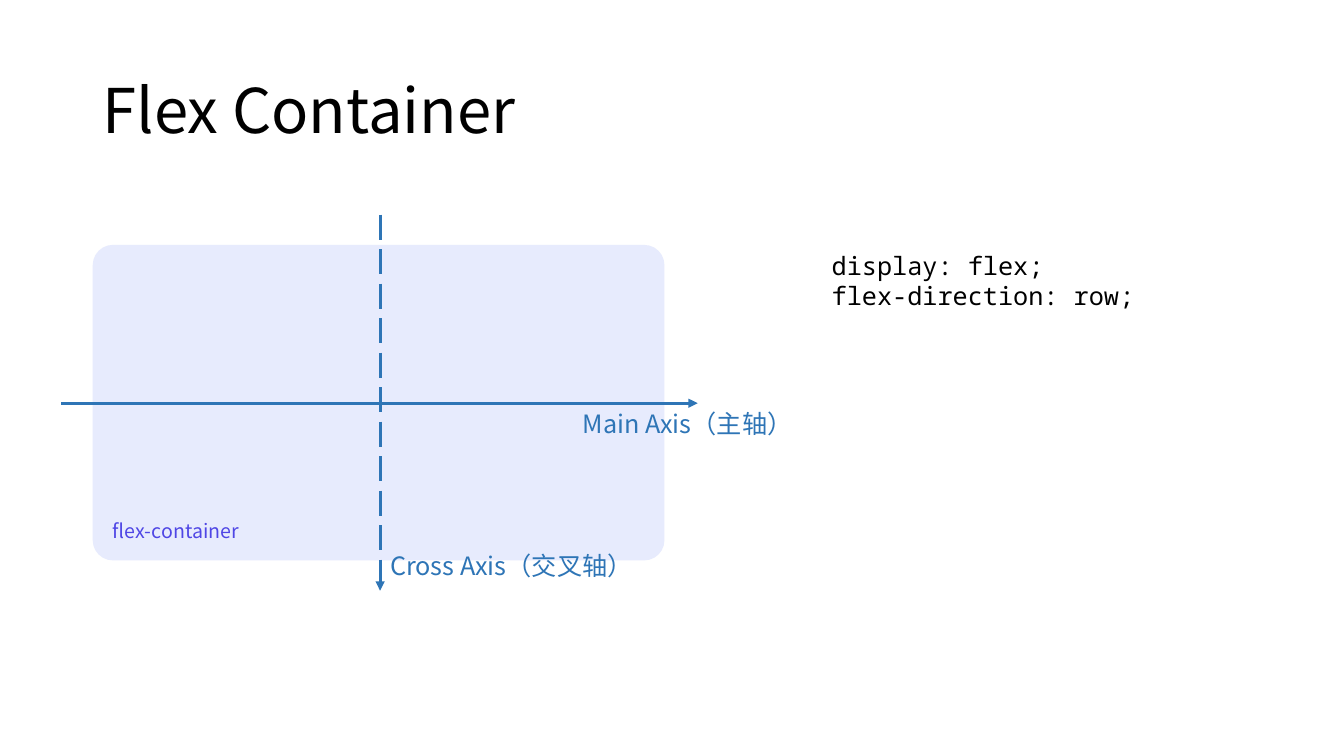
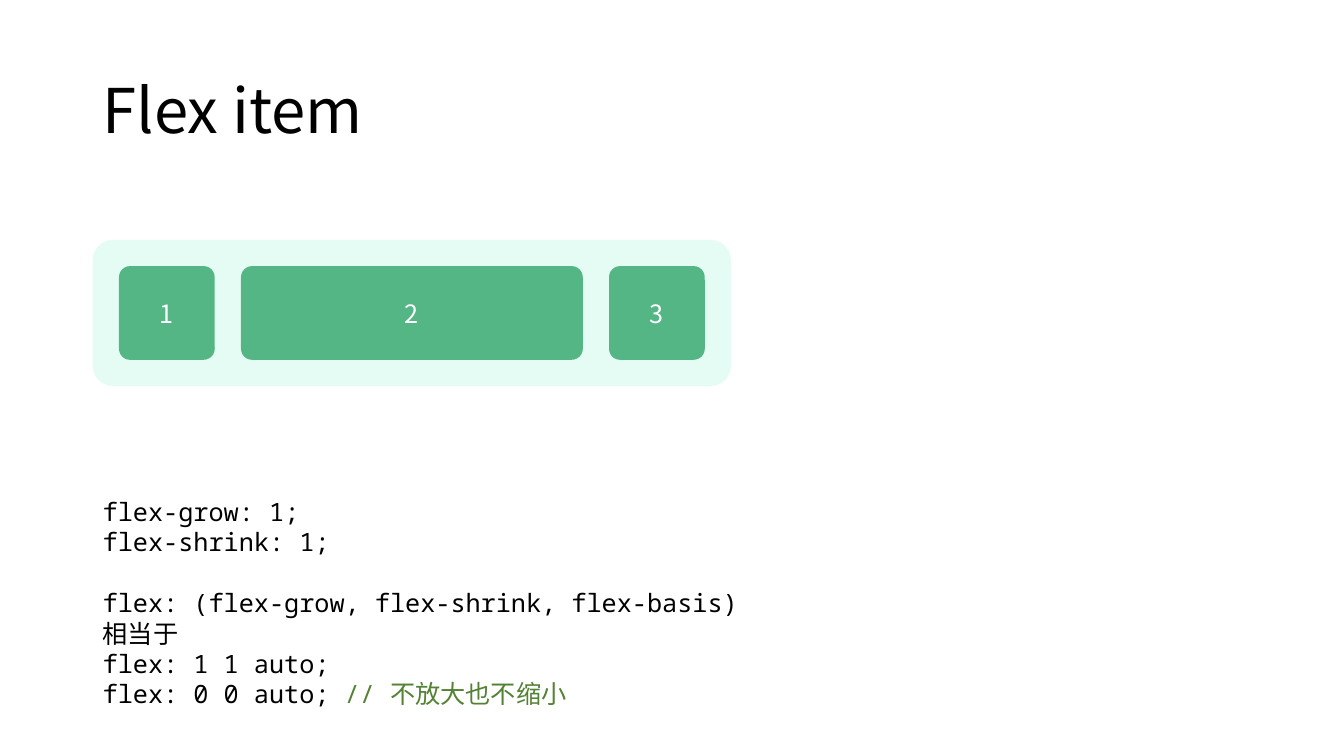
from pptx import Presentation
from pptx.dml.color import RGBColor
from pptx.enum import dml, shapes, text
from pptx.oxml.ns import qn
from pptx.util import Inches, Pt
from lxml import etree

SANS, MONO = "Noto Sans CJK SC", "Noto Sans Mono"
BLACK = RGBColor(0x00, 0x00, 0x00)
WHITE = RGBColor(0xFF, 0xFF, 0xFF)
AXIS_BLUE = RGBColor(0x2E, 0x75, 0xB6)
LAVENDER = RGBColor(0xE7, 0xEB, 0xFD)
INDIGO = RGBColor(0x4F, 0x46, 0xE5)
MINT = RGBColor(0xE5, 0xFC, 0xF4)
ITEM_GREEN = RGBColor(0x55, 0xB6, 0x85)
COMMENT_GREEN = RGBColor(0x54, 0x82, 0x35)
LEFT = 0.92


def style_run(r, size, color, font):
    r.font.size = Pt(size)
    r.font.color.rgb = color
    r.font.name = font
    ea = etree.SubElement(r.font._element, qn("a:ea"))
    ea.set("typeface", SANS)


def style_text(tf, size, color, font=SANS):
    for p in tf.paragraphs:
        for r in p.runs:
            style_run(r, size, color, font)


def add_label(s, box, content, size=18, color=BLACK, font=SANS, wrap=True):
    sp = s.shapes.add_textbox(*map(Inches, box))
    tf = sp.text_frame
    tf.word_wrap = wrap
    tf.text = content
    style_text(tf, size, color, font)
    return tf


def add_code(s, box, *lines):
    return add_label(s, box, "\n".join(lines), font=MONO)


def add_title_slide(prs, title):
    """Add a blank slide with the shared title style."""
    s = prs.slides.add_slide(prs.slide_layouts[6])
    tf = add_label(s, (LEFT, 0.4, 11.5, 1.45), title, size=44)
    tf.vertical_anchor = text.MSO_ANCHOR.MIDDLE
    tf.paragraphs[0].line_spacing = 0.9
    return s


def add_rounded(s, box, fill, radius):
    sp = s.shapes.add_shape(shapes.MSO_SHAPE.ROUNDED_RECTANGLE, *map(Inches, box))
    sp.adjustments[0] = radius / min(box[2:])
    sp.shadow.inherit = False
    sp.fill.solid()
    sp.fill.fore_color.rgb = fill
    sp.line.fill.background()
    return sp


def add_item(s, box, label):
    tf = add_rounded(s, box, ITEM_GREEN, 0.11).text_frame
    tf.text = label
    tf.vertical_anchor = text.MSO_ANCHOR.MIDDLE
    tf.paragraphs[0].alignment = text.PP_ALIGN.CENTER
    style_text(tf, 18, WHITE)


def add_axis(s, start, end, dash=None):
    cxn = s.shapes.add_connector(
        shapes.MSO_CONNECTOR.STRAIGHT, *map(Inches, start + end))
    cxn.line.color.rgb = AXIS_BLUE
    cxn.line.width = Pt(2.25)
    if dash:
        cxn.line.dash_style = dash
    etree.SubElement(cxn.line._get_or_add_ln(), qn("a:tailEnd")).set("type", "triangle")
    etree.SubElement(cxn._element.spPr, qn("a:effectLst"))


def build_container_slide(prs):
    s = add_title_slide(prs, "Flex Container")
    add_rounded(s, (LEFT, 2.43, 5.67, 3.13), LAVENDER, 0.2)
    add_label(s, (1.02, 5.1, 1.51, 0.34), "flex-container", 14, INDIGO)
    add_axis(s, (0.61, 4), (6.92, 4))
    add_axis(s, (3.77, 2.13), (3.77, 5.86), dml.MSO_LINE.LONG_DASH)
    add_label(s, (5.68, 4, 2.47, 0.4), "Main Axis（主轴）", color=AXIS_BLUE, wrap=False)
    add_label(s, (3.77, 5.41, 2.77, 0.4), "Cross Axis（交叉轴）", color=AXIS_BLUE, wrap=False)
    add_code(s, (8.15, 2.43, 4.68, 0.71), "display: flex;", "flex-direction: row;")


def build_item_slide(prs):
    s = add_title_slide(prs, "Flex item")
    top, height, gap = 2.38, 1.45, 0.26
    widths = (0.95, 3.39, 0.95)
    total = sum(widths) + gap * (len(widths) + 1)
    add_rounded(s, (LEFT, top, total, height), MINT, 0.2)
    x = LEFT + gap
    for number, width in enumerate(widths, 1):
        add_item(s, (x, top + gap, width, height - 2 * gap), str(number))
        x += width + gap

    add_code(s, (LEFT, 4.87, 2.93, 0.71), "flex-grow: 1;", "flex-shrink: 1;")
    tf = add_code(s, (LEFT, 5.78, 6.56, 1.31),
                  "flex: (flex-grow, flex-shrink, flex-basis)", "相当于",
                  "flex: 1 1 auto;", "flex: 0 0 auto; ")
    r = tf.paragraphs[-1].add_run()
    r.text = "// 不放大也不缩小"
    style_run(r, 18, COMMENT_GREEN, MONO)


def main():
    prs = Presentation()
    prs.slide_width, prs.slide_height = Inches(13.33), Inches(7.5)
    build_container_slide(prs)
    build_item_slide(prs)
    prs.save("out.pptx")


if __name__ == "__main__":
    main()
